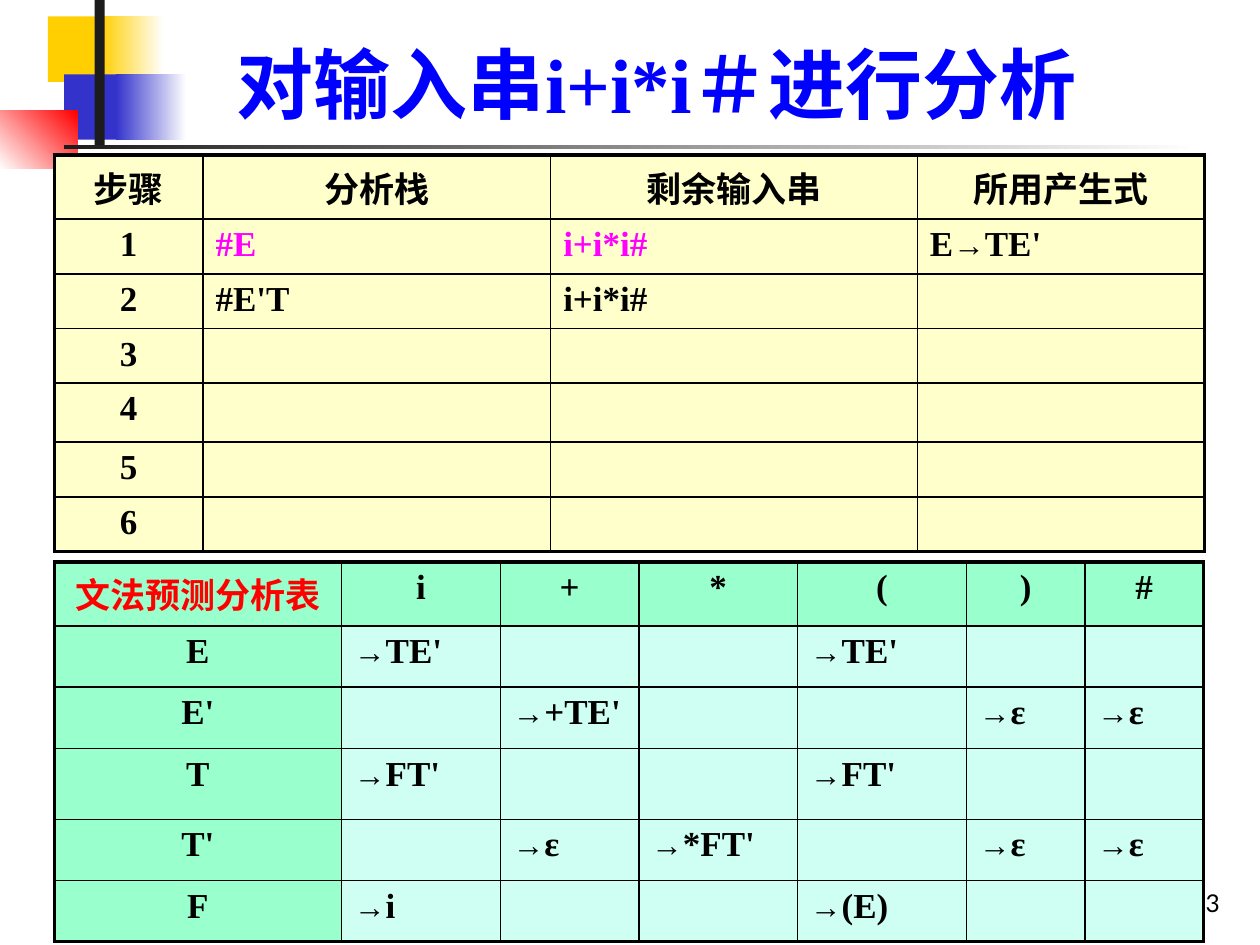
"""Build the slide that traces a predictive parse of i+i*i#."""
import pptx
import pptx.dml.color
import pptx.enum.shapes
import pptx.enum.text
import pptx.oxml.ns
import pptx.util
from lxml import etree

Pt = pptx.util.Pt
RGBColor = pptx.dml.color.RGBColor
ALIGN = pptx.enum.text.PP_ALIGN
ANCHOR = pptx.enum.text.MSO_ANCHOR

BLACK = RGBColor(0x00, 0x00, 0x00)
WHITE = RGBColor(0xFF, 0xFF, 0xFF)
CHARCOAL = RGBColor(0x1C, 0x1C, 0x1C)
GOLD = RGBColor(0xFF, 0xCF, 0x01)
INDIGO = RGBColor(0x33, 0x33, 0xCC)
RED = RGBColor(0xFF, 0x00, 0x00)
BLUE = RGBColor(0x00, 0x00, 0xFF)
MAGENTA = RGBColor(0xFF, 0x00, 0xFF)
CREAM = RGBColor(0xFF, 0xFF, 0xCC)
MINT = RGBColor(0x99, 0xFF, 0xCC)
PALE_MINT = RGBColor(0xCF, 0xFF, 0xF2)

STEPS = [
    ["步骤", "分析栈", "剩余输入串", "所用产生式"],
    ["1", "#E", "i+i*i#", "E→TE'"],
    ["2", "#E'T", "i+i*i#", ""],
] + [[str(step), "", "", ""] for step in range(3, 7)]

PREDICTIONS = [
    ["文法预测分析表", "i", "+", "*", "(", ")", "#"],
    ["E", "→TE'", "", "", "→TE'", "", ""],
    ["E'", "", "→+TE'", "", "", "→ε", "→ε"],
    ["T", "→FT'", "", "", "→FT'", "", ""],
    ["T'", "", "→ε", "→*FT'", "", "→ε", "→ε"],
    ["F", "→i", "", "", "→(E)", "", ""],
]


class Painter:
    """Hold the style and the current slide."""

    serif = "Times New Roman"
    sans = "Lato"
    text_size = 20
    arrow_size = 18
    thin, thick = 1, 2.25

    def __init__(self, slide):
        self.slide = slide

    def style(self, span, size, color, font=serif, bold=True):
        span.font.name = font
        span.font.size = Pt(size)
        span.font.bold = bold
        span.font.color.rgb = color

    def bar(self, left, top, width, height, color, fade_to=None, angle=0):
        shape = self.slide.shapes.add_shape(
            pptx.enum.shapes.MSO_SHAPE.RECTANGLE,
            Pt(left), Pt(top), Pt(width), Pt(height))
        shape.shadow.inherit = False
        shape.line.fill.background()
        if fade_to is None:
            shape.fill.solid()
            shape.fill.fore_color.rgb = color
            return
        shape.fill.gradient()
        shape.fill.gradient_angle = angle
        for stop, shade, position in zip(shape.fill.gradient_stops, (color, fade_to), (0, 1)):
            stop.color.rgb = shade
            stop.position = position

    def title(self, text, left, top, width, height):
        box = self.slide.shapes.title
        box.left, box.top, box.width, box.height = map(Pt, (left, top, width, height))
        frame = box.text_frame
        frame.text = text
        frame.auto_size = pptx.enum.text.MSO_AUTO_SIZE.NONE
        frame.vertical_anchor = ANCHOR.BOTTOM
        para = frame.paragraphs[0]
        para.alignment = ALIGN.CENTER
        self.style(para.runs[0], 44, BLUE)

    def page_number(self, text, left, top, width, height):
        box = self.slide.shapes.add_textbox(Pt(left), Pt(top), Pt(width), Pt(height))
        frame = box.text_frame
        frame.word_wrap = True
        frame.vertical_anchor = ANCHOR.BOTTOM
        frame.text = text
        para = frame.paragraphs[0]
        para.alignment = ALIGN.RIGHT
        self.style(para.runs[0], 14, BLACK, self.sans, False)

    def border(self, cell, outer_sides):
        properties = cell._tc.get_or_add_tcPr()
        for side in "LRTB":
            width = self.thick if side in outer_sides else self.thin
            line = etree.SubElement(
                properties, pptx.oxml.ns.qn(f"a:ln{side}"), w=str(int(Pt(width))))
            fill = etree.SubElement(line, pptx.oxml.ns.qn("a:solidFill"))
            etree.SubElement(fill, pptx.oxml.ns.qn("a:srgbClr"), val=str(BLACK))

    def cell_text(self, cell, text, color, centered):
        para = cell.text_frame.paragraphs[0]
        para.alignment = ALIGN.CENTER if centered else ALIGN.LEFT
        for piece in filter(None, text.partition("→")):
            span = para.add_run()
            span.text = piece
            self.style(span, self.arrow_size if piece == "→" else self.text_size, color)

    def table(self, left, top, widths, heights, rows, head_fill, body_fill, accents):
        table = self.slide.shapes.add_table(
            len(rows), len(widths), Pt(left), Pt(top),
            Pt(sum(widths)), Pt(sum(heights))).table
        table.first_row = table.horz_banding = False
        for column, width in zip(table.columns, widths):
            column.width = Pt(width)
        for row, height in zip(table.rows, heights):
            row.height = Pt(height)
        last_row, last_column = len(rows) - 1, len(widths) - 1
        for i, texts in enumerate(rows):
            for j, text in enumerate(texts):
                cell = table.cell(i, j)
                is_head = i == 0 or j == 0
                edges = {"L": j == 0, "R": j == last_column, "T": i == 0, "B": i == last_row}
                self.border(cell, [side for side, is_outer in edges.items() if is_outer])
                cell.fill.solid()
                cell.fill.fore_color.rgb = head_fill if is_head else body_fill
                self.cell_text(cell, text, accents.get((i, j), BLACK), is_head)


def main():
    deck = pptx.Presentation()
    deck.slide_width, deck.slide_height = Pt(720), Pt(540)
    painter = Painter(deck.slides.add_slide(deck.slide_layouts[5]))

    painter.bar(27.4, 9.4, 48.2, 37.4, GOLD)
    painter.bar(57.6, 9.4, 36, 37.4, GOLD, WHITE)
    painter.bar(36.7, 42.5, 46.1, 37.4, INDIGO)
    painter.bar(66.2, 42.5, 40.3, 37.4, INDIGO, WHITE)
    painter.bar(0, 63.4, 44.2, 33.1, WHITE, RED, 45)
    painter.bar(54, 0, 5.8, 82.8, CHARCOAL)
    painter.bar(36.7, 82.8, 648, 2.2, CHARCOAL, WHITE)

    painter.page_number("43", 554.4, 491.8, 149.8, 36)
    painter.title("对输入串i+i*i＃进行分析", 90.7, 16.6, 569.5, 60.5)

    painter.table(
        31, 321.1, [164.2, 90.7, 79.2, 90.7, 96.5, 67.7, 67.7],
        [36.6, 35, 35, 40.5, 35, 35], PREDICTIONS, MINT, PALE_MINT, {(0, 0): RED})
    painter.table(
        31, 88.6, [85, 198.7, 209.5, 164.2],
        [36.6, 29.5, 29.5, 29.5, 33.8, 29.5, 29.5], STEPS, CREAM, CREAM,
        {(1, 1): MAGENTA, (1, 2): MAGENTA})

    deck.save("out.pptx")


if __name__ == "__main__":
    main()
